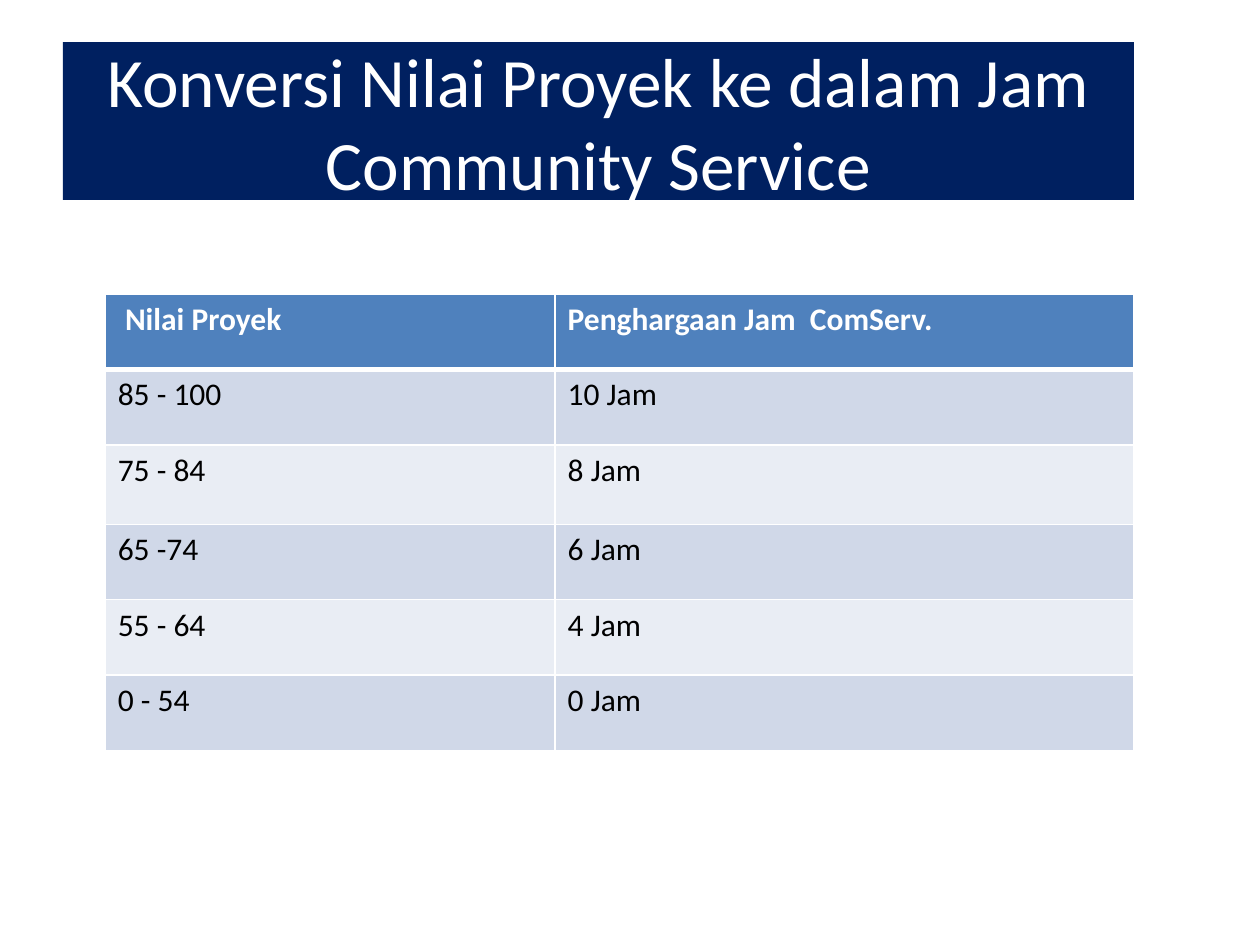
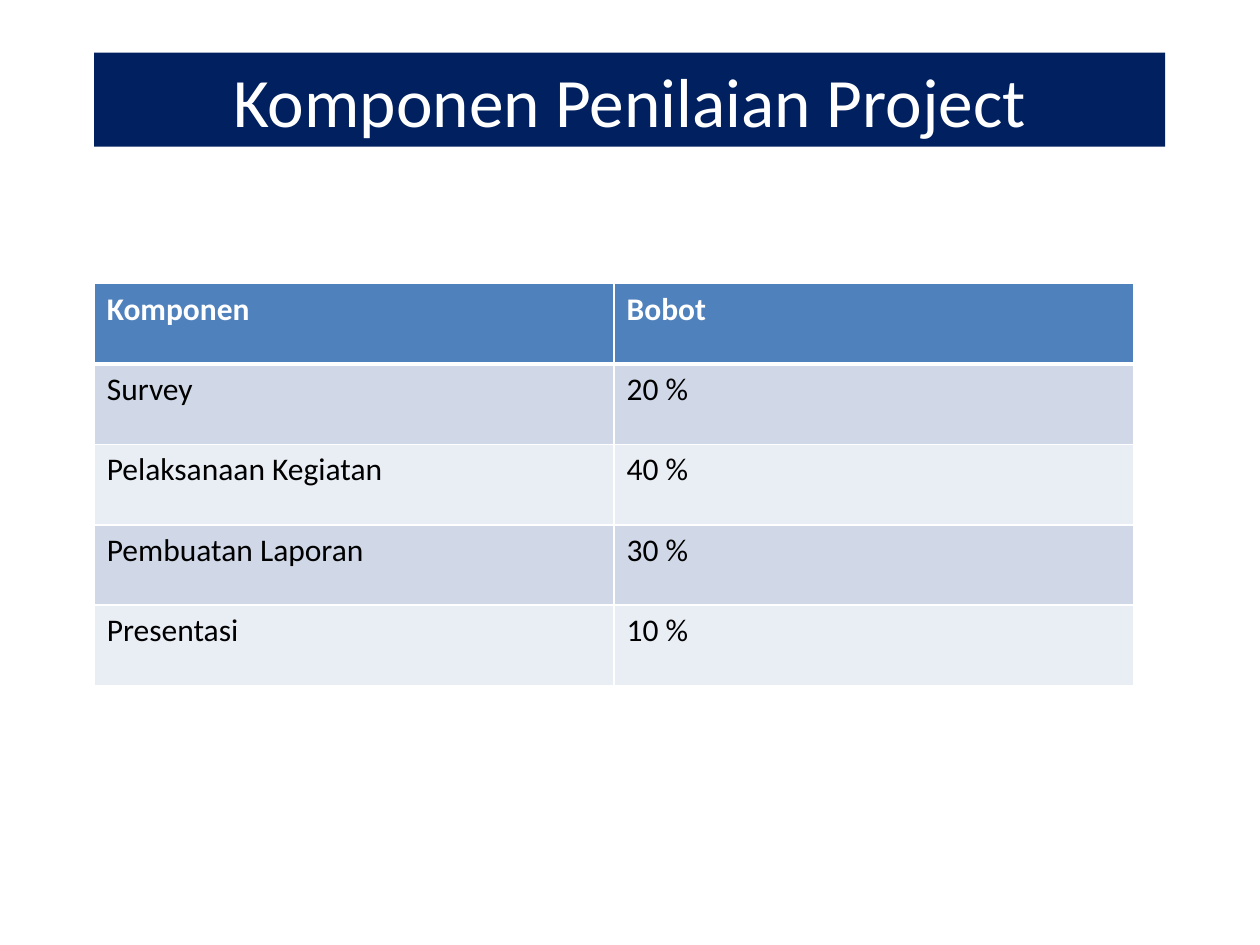
"""Build two slides on project grading, each with a title band and a table."""
import dataclasses

import pptx
import pptx.dml.color
import pptx.enum.shapes
import pptx.enum.text
import pptx.oxml
import pptx.oxml.ns
import pptx.util

Cm = pptx.util.Cm


@dataclasses.dataclass(frozen=True)
class Theme:
    font: str = "Calibri"
    navy: str = "002060"
    head: str = "4F81BD"
    bands: tuple = ("D0D8E8", "E9EDF4")
    white: str = "FFFFFF"
    black: str = "000000"
    title: float = 39.6
    body: float = 18
    thin: float = 1
    thick: float = 3


THEME = Theme()


def paint(item, hue):
    item.fill.solid()
    item.fill.fore_color.rgb = pptx.dml.color.RGBColor.from_string(hue)


def write(frame, text, size=THEME.body, hue=THEME.black, bold=False,
          align=pptx.enum.text.PP_ALIGN.LEFT):
    para = frame.paragraphs[0]
    para.alignment = align
    run = para.add_run()
    run.text = text
    run.font.name = THEME.font
    run.font.size = pptx.util.Pt(size)
    run.font.bold = bold
    run.font.color.rgb = pptx.dml.color.RGBColor.from_string(hue)


def edge(cell, top, bottom):
    props = cell._tc.get_or_add_tcPr()
    widths = {"L": THEME.thin, "R": THEME.thin, "T": top, "B": bottom}
    for index, (side, width) in enumerate(widths.items()):
        line = pptx.oxml.parse_xml(
            f'<a:ln{side} {pptx.oxml.ns.nsdecls("a")} w="{pptx.util.Pt(width)}">'
            f'<a:solidFill><a:srgbClr val="{THEME.white}"/></a:solidFill>'
            f'</a:ln{side}>')
        props.insert(index, line)


def band(slide, text, left, top, height):
    shape = slide.shapes.add_shape(
        pptx.enum.shapes.MSO_SHAPE.RECTANGLE,
        Cm(left), Cm(top), Cm(21.59), Cm(height))
    shape.shadow.inherit = False
    shape.line.fill.background()
    paint(shape, THEME.navy)
    frame = shape.text_frame
    frame.word_wrap = True
    frame.vertical_anchor = pptx.enum.text.MSO_ANCHOR.MIDDLE
    write(frame, text, size=THEME.title, hue=THEME.white,
          align=pptx.enum.text.PP_ALIGN.CENTER)


def grid(slide, rows, left, top, widths, heights):
    table = slide.shapes.add_table(
        len(rows), len(widths), Cm(left), Cm(top),
        Cm(sum(widths)), Cm(sum(heights))).table
    for col, width in zip(table.columns, widths):
        col.width = Cm(width)
    for r, (row, height) in enumerate(zip(rows, heights)):
        table.rows[r].height = Cm(height)
        first = r == 0
        for c, text in enumerate(row):
            cell = table.cell(r, c)
            paint(cell, THEME.head if first else THEME.bands[(r - 1) % 2])
            edge(cell, THEME.thick if r == 1 else THEME.thin,
                 THEME.thick if first else THEME.thin)
            write(cell.text_frame, text, bold=first,
                  hue=THEME.white if first else THEME.black)
    return table


def main():
    deck = pptx.Presentation()
    deck.slide_width, deck.slide_height = Cm(25.4), Cm(19.05)
    blank = deck.slide_layouts[6]

    hours = deck.slides.add_slide(blank)
    band(hours, "Konversi Nilai Proyek ke dalam Jam Community Service",
         1.27, 0.85, 3.18)
    table = grid(hours, [
        ("Nilai Proyek", "Penghargaan Jam  ComServ."),
        ("85 - 100", "10 Jam"),
        ("75 - 84", "8 Jam"),
        ("65 -74", "6 Jam"),
        ("55 - 64", "4 Jam"),
        ("0 - 54", "0 Jam"),
    ], 2.12, 5.93, (9.07, 11.67), (1.52, 1.52, 1.6, 1.52, 1.52, 1.52))
    table.cell(0, 0).margin_left = Cm(0.4)

    parts = deck.slides.add_slide(blank)
    band(parts, "Komponen Penilaian Project", 1.9, 1.06, 1.9)
    grid(parts, [
        ("Komponen", "Bobot"),
        ("Survey", "20 %"),
        ("Pelaksanaan Kegiatan", "40 %"),
        ("Pembuatan Laporan", "30 %"),
        ("Presentasi", "10 %"),
    ], 1.9, 5.72, [10.48] * 2, [1.62] * 5)

    deck.save("out.pptx")


if __name__ == "__main__":
    main()
